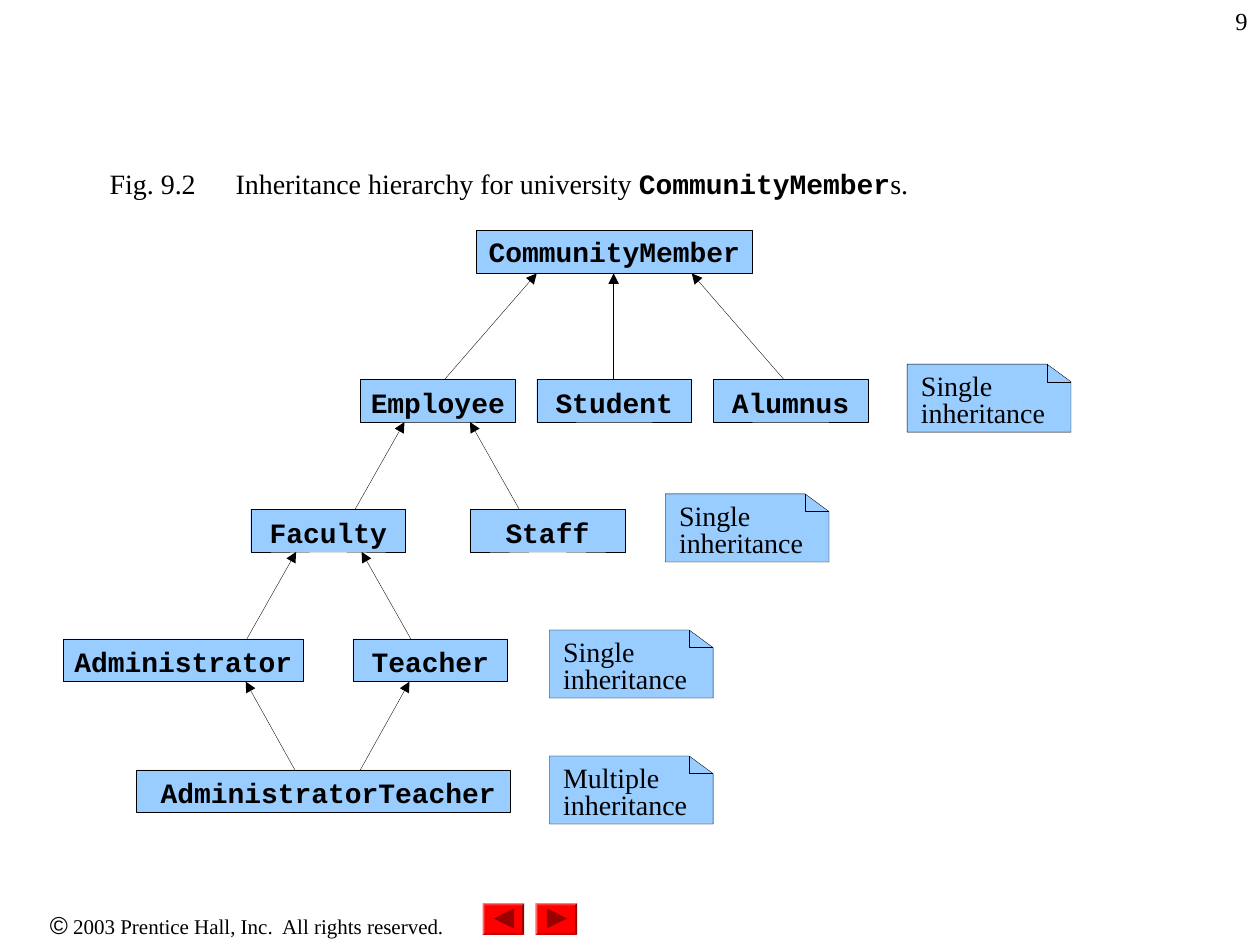
from dataclasses import dataclass

import pptx
import pptx.dml.color
import pptx.enum.shapes
import pptx.enum.text
import pptx.oxml
import pptx.oxml.ns
import pptx.util

Inches = pptx.util.Inches
Pt = pptx.util.Pt
RGBColor = pptx.dml.color.RGBColor
ShapeType = pptx.enum.shapes.MSO_SHAPE
Align = pptx.enum.text.PP_ALIGN
Anchor = pptx.enum.text.MSO_ANCHOR

BLACK = RGBColor(0x00, 0x00, 0x00)
LIGHT_BLUE = RGBColor(0x99, 0xCC, 0xFF)
RED = RGBColor(0xFF, 0x00, 0x00)
DARK_RED = RGBColor(0x99, 0x00, 0x00)
SERIF, SANS, CODE = "Times New Roman", "Arial", "Courier New"

ROW_TOPS = (1.83, 3.01, 4.04, 5.07, 6.11)
BOX_HEIGHT = 0.34
LINE_WIDTH = Pt(0.2)


@dataclass
class ClassBox:
    name: str
    row: int
    left: float
    width: float = 1.23
    text_top: float = 0.1
    text_left: float = 0


@dataclass
class Arrow:
    child_row: int
    child_x: float
    parent_x: float


@dataclass
class Note:
    kind: str
    left: float
    top: float


CLASSES = (
    ClassBox("CommunityMember", 0, 3.78, width=2.19, text_top=0.08),
    ClassBox("Employee", 1, 2.86),
    ClassBox("Student", 1, 4.26),
    ClassBox("Alumnus", 1, 5.66),
    ClassBox("Faculty", 2, 1.99),
    ClassBox("Staff", 2, 3.73),
    ClassBox("Administrator", 3, 0.5, width=1.91),
    ClassBox("Teacher", 3, 2.8),
    ClassBox("AdministratorTeacher", 4, 1.08, width=2.97, text_left=0.08),
)
ARROWS = (
    Arrow(1, 3.53, 4.26),
    Arrow(1, 4.87, 4.87),
    Arrow(1, 6.22, 5.49),
    Arrow(2, 2.82, 3.21),
    Arrow(2, 4.12, 3.73),
    Arrow(3, 1.96, 2.35),
    Arrow(3, 3.26, 2.87),
    Arrow(4, 2.34, 1.95),
    Arrow(4, 2.86, 3.25),
)
NOTES = (
    Note("Single", 7.2, 2.89),
    Note("Single", 5.28, 3.92),
    Note("Single", 4.36, 5),
    Note("Multiple", 4.36, 6),
)


def set_margins(frame, left: float, top: float, right: float, bottom: float) -> None:
    frame.margin_left, frame.margin_top = Inches(left), Inches(top)
    frame.margin_right, frame.margin_bottom = Inches(right), Inches(bottom)


def add_run(paragraph, text: str, font_name: str, size: float, bold: bool = False) -> None:
    run = paragraph.add_run()
    run.text = text
    run.font.name = font_name
    run.font.size = Pt(size)
    run.font.bold = bold
    run.font.color.rgb = BLACK


def style_outline(shape) -> None:
    shape.shadow.inherit = False
    shape.line.color.rgb = BLACK
    shape.line.width = LINE_WIDTH


def style_filled(shape, text: str, font_name: str, alignment, margins, bold: bool = False) -> None:
    style_outline(shape)
    shape.fill.solid()
    shape.fill.fore_color.rgb = LIGHT_BLUE
    frame = shape.text_frame
    frame.word_wrap = True
    frame.vertical_anchor = Anchor.TOP
    set_margins(frame, *margins)
    paragraph = frame.paragraphs[0]
    paragraph.alignment = alignment
    paragraph.line_spacing = 0.8
    add_run(paragraph, text, font_name, 16, bold)


def draw_class(slide, box: ClassBox) -> None:
    shape = slide.shapes.add_shape(
        ShapeType.RECTANGLE, Inches(box.left), Inches(ROW_TOPS[box.row]),
        Inches(box.width), Inches(BOX_HEIGHT))
    style_filled(shape, box.name, CODE, Align.CENTER,
                 (box.text_left, box.text_top, 0, 0), bold=True)


def draw_arrow(slide, arrow: Arrow) -> None:
    connector = slide.shapes.add_connector(
        pptx.enum.shapes.MSO_CONNECTOR.STRAIGHT,
        Inches(arrow.child_x), Inches(ROW_TOPS[arrow.child_row]),
        Inches(arrow.parent_x), Inches(ROW_TOPS[arrow.child_row - 1] + BOX_HEIGHT))
    connector.line.color.rgb = BLACK
    connector.line.width = LINE_WIDTH
    properties = connector._element.spPr
    head = pptx.oxml.parse_xml(
        f'<a:tailEnd {pptx.oxml.ns.nsdecls("a")} type="triangle"/>')
    properties.find(pptx.oxml.ns.qn("a:ln")).append(head)
    properties.append(pptx.oxml.parse_xml(f'<a:effectLst {pptx.oxml.ns.nsdecls("a")}/>'))


def draw_outline(slide, points, close: bool):
    corners = [(Inches(x), Inches(y)) for x, y in points]
    builder = slide.shapes.build_freeform(*corners[0])
    builder.add_line_segments(corners[1:], close=close)
    return builder.convert_to_shape()


def draw_note(slide, note: Note) -> None:
    left, top = note.left, note.top
    right, bottom = left + 1.3, top + 0.54
    fold_x, fold_y = right - 0.19, top + 0.14
    body = draw_outline(slide, [(left, top), (fold_x, top), (right, fold_y),
                                (right, bottom), (left, bottom)], close=True)
    style_filled(body, f"{note.kind} inheritance", SERIF, Align.LEFT, (0.11, 0.09, 0.1, 0))
    fold = draw_outline(slide, [(right, fold_y), (fold_x, fold_y), (fold_x, top)], close=False)
    style_outline(fold)
    fold.fill.background()


def draw_button(slide, left: float, rotation: int) -> None:
    bevel = slide.shapes.add_shape(
        ShapeType.BEVEL, Inches(left), Inches(7.17), Inches(0.33), Inches(0.25))
    bevel.adjustments[0] = 0.06
    triangle = slide.shapes.add_shape(
        ShapeType.ISOSCELES_TRIANGLE, Inches(left + 0.09), Inches(7.21),
        Inches(0.16), Inches(0.16))
    triangle.rotation = rotation
    for shape, color in ((bevel, RED), (triangle, DARK_RED)):
        shape.shadow.inherit = False
        shape.fill.solid()
        shape.fill.fore_color.rgb = color
        shape.line.fill.background()


def add_text_box(slide, left: float, top: float, width: float, height: float, alignment):
    box = slide.shapes.add_textbox(Inches(left), Inches(top), Inches(width), Inches(height))
    box.text_frame.word_wrap = True
    paragraph = box.text_frame.paragraphs[0]
    paragraph.alignment = alignment
    return paragraph


def draw_caption(slide) -> None:
    title = slide.shapes.title
    title.left, title.top = Inches(0.77), Inches(1.27)
    title.width, title.height = Inches(6.54), Inches(0.37)
    frame = title.text_frame
    frame.word_wrap = False
    frame.auto_size = pptx.enum.text.MSO_AUTO_SIZE.NONE
    frame.vertical_anchor = Anchor.TOP
    set_margins(frame, 0.1, 0.05, 0.1, 0.05)
    paragraph = frame.paragraphs[0]
    paragraph.alignment = Align.LEFT
    paragraph._p.get_or_add_pPr().append(pptx.oxml.parse_xml(
        f'<a:tabLst {pptx.oxml.ns.nsdecls("a")}><a:tab pos="{Inches(1)}" algn="l"/></a:tabLst>'))
    add_run(paragraph, "Fig. 9.2\tInheritance hierarchy for university ", SERIF, 16)
    add_run(paragraph, "CommunityMember", CODE, 16, bold=True)
    add_run(paragraph, "s.", SERIF, 16)


def main() -> None:
    presentation = pptx.Presentation()
    presentation.slide_width, presentation.slide_height = Inches(10), Inches(7.5)
    slide = presentation.slides.add_slide(presentation.slide_layouts[5])

    # Footer, navigation buttons and page number
    footer = add_text_box(slide, 0, 7.17, 3.92, 0.34, Align.CENTER)
    add_run(footer, "©", SANS, 14)
    add_run(footer, " 2003 Prentice Hall, Inc.  All rights reserved.", SERIF, 12)
    draw_button(slide, 3.83, rotation=270)
    draw_button(slide, 4.25, rotation=90)
    page_number = add_text_box(slide, 7.92, 0, 2.08, 0.5, Align.RIGHT)
    add_run(page_number, "9", SERIF, 14)

    # Class hierarchy with its notes
    draw_caption(slide)
    for box in CLASSES:
        draw_class(slide, box)
    for arrow in ARROWS:
        draw_arrow(slide, arrow)
    for note in NOTES:
        draw_note(slide, note)

    presentation.save("out.pptx")


if __name__ == "__main__":
    main()
